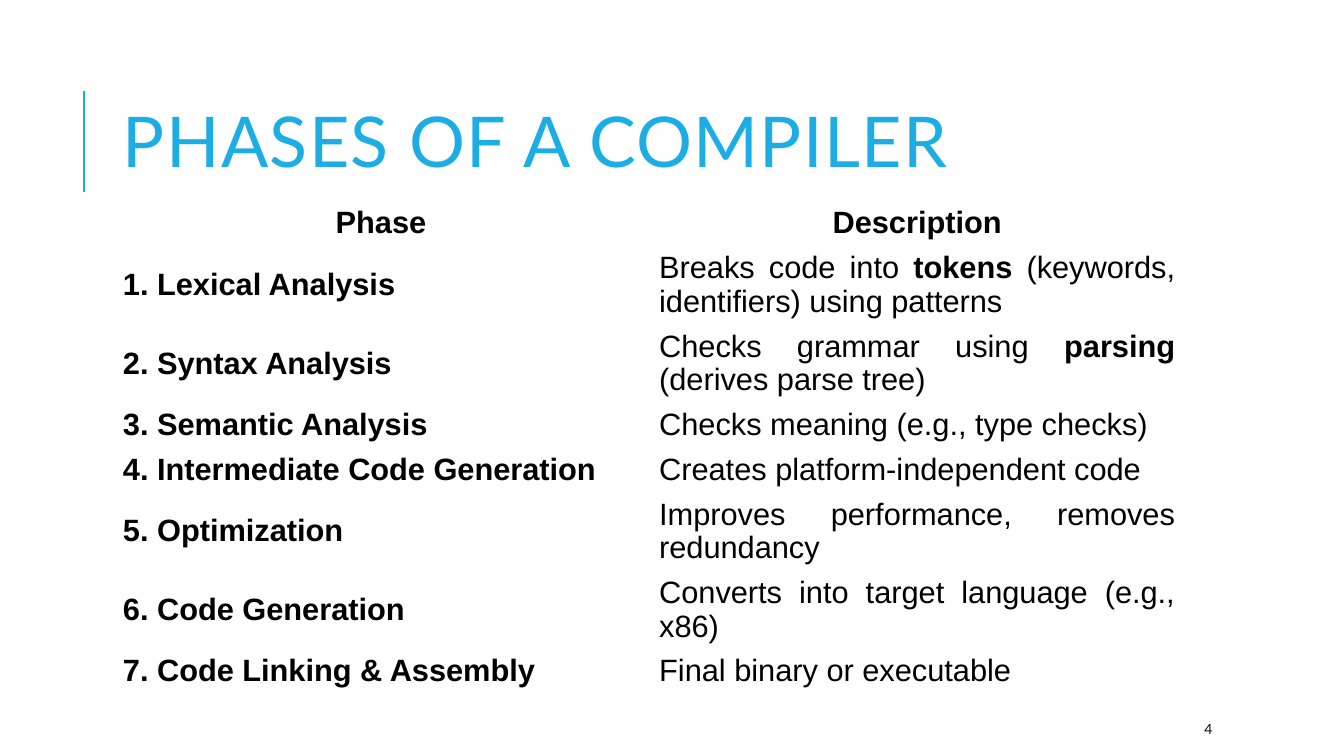
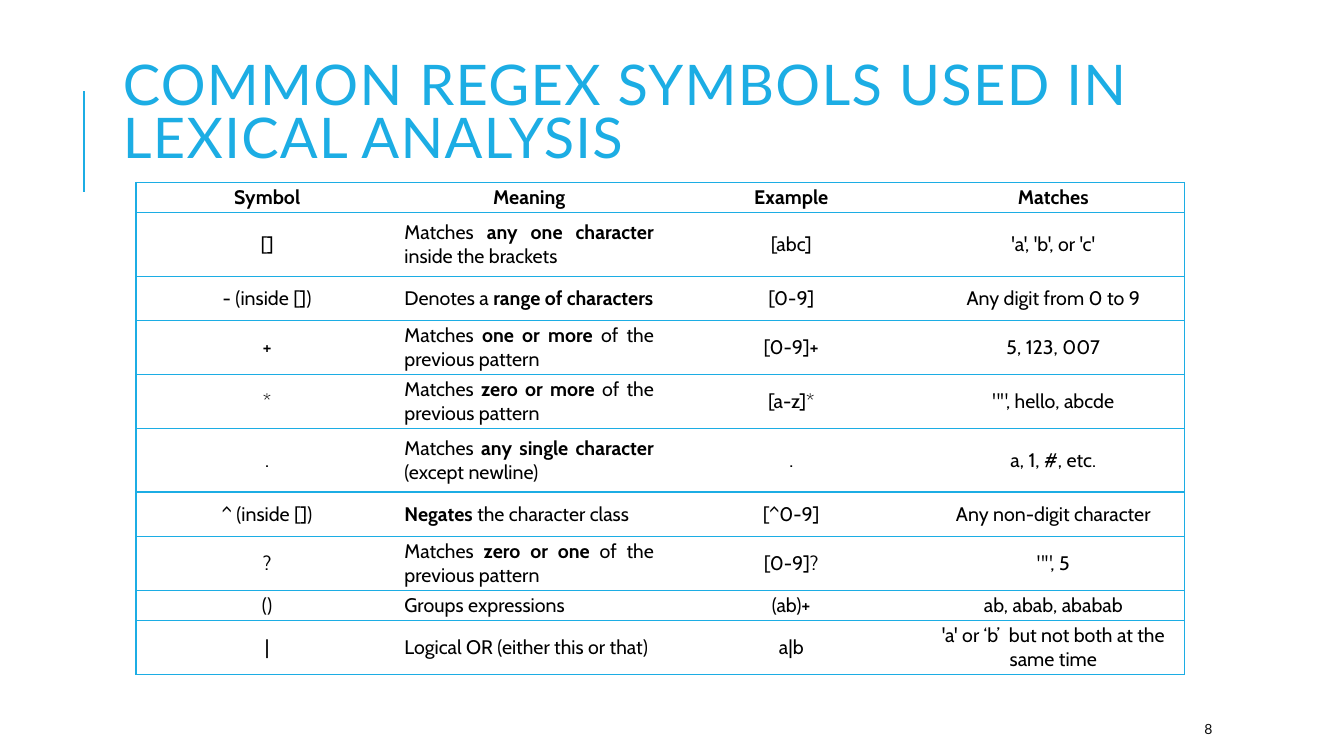
from dataclasses import dataclass

from lxml.etree import SubElement
from pptx import Presentation
from pptx.dml.color import RGBColor
from pptx.enum.shapes import MSO_CONNECTOR
from pptx.enum.text import MSO_ANCHOR, MSO_AUTO_SIZE, PP_ALIGN
from pptx.oxml.ns import qn
from pptx.util import Pt


@dataclass(frozen=True)
class Theme:
    accent: str = "1CADE4"
    text: str = "000000"
    number: str = "0D0D0D"
    paper: str = "FFFFFF"
    heading_font: str = "Lato"
    number_size: float = 10
    rule_width: float = 1.5
    border_width: float = 1


theme = Theme()


def add_run(paragraph, text, font, size, color, bold=False):
    run = paragraph.add_run()
    run.text = text
    run.font.name = font
    run.font.size = Pt(size)
    run.font.bold = bold
    run.font.color.rgb = RGBColor.from_string(color)
    return run


def set_borders(cell, visible_sides):
    properties = cell._tc.get_or_add_tcPr()
    for position, side in enumerate("LRTB"):
        line = SubElement(properties, qn(f"a:ln{side}"))
        if side in visible_sides:
            line.set("w", str(Pt(theme.border_width)))
            fill = SubElement(line, qn("a:solidFill"))
            SubElement(fill, qn("a:srgbClr")).set("val", theme.accent)
        else:
            SubElement(line, qn("a:noFill"))
        properties.insert(position, line)


pages = [
    {
        "title": "PHASES OF A COMPILER",
        "title_size": 50,
        "title_height": 118,
        "number": "4",
        "left": 80.64,
        "top": 144,
        "column_width": 383,
        "font": "Arial",
        "size": 22,
        "line_spacing": 0.97,
        "margins": (7.2, 3.6),
        "justified": (0, 1),
        "bordered": False,
        "row_heights": [31.8, 56.2, 56.2, 31.8, 31.8, 56.2, 56.2, 31.8],
        "rows": [
            ("**Phase**", "**Description**"),
            ("**1. Lexical Analysis**", "Breaks code into **tokens** (keywords, identifiers) using patterns"),
            ("**2. Syntax Analysis**", "Checks grammar using **parsing** (derives parse tree)"),
            ("**3. Semantic Analysis**", "Checks meaning (e.g., type checks)"),
            ("**4. Intermediate Code Generation**", "Creates platform-independent code"),
            ("**5. Optimization**", "Improves performance, removes redundancy"),
            ("**6. Code Generation**", "Converts into target language (e.g., x86)"),
            ("**7. Code Linking & Assembly**", "Final binary or executable"),
        ],
    },
    {
        "title": "COMMON REGEX SYMBOLS USED IN LEXICAL ANALYSIS",
        "title_size": 40,
        "title_height": 73.5,
        "number": "8",
        "left": 97.2,
        "top": 130.3,
        "column_width": 187.2,
        "font": "Cabin",
        "size": 14,
        "line_spacing": 1,
        "margins": (4.5, 2.25),
        "justified": (1,),
        "bordered": True,
        "row_heights": [21.5, 45.4, 31.7, 38.5, 38.5, 45.4, 31.7, 38.5, 21.5, 38.5],
        "rows": [
            ("**Symbol**", "**Meaning**", "**Example**", "**Matches**"),
            ("[]", "Matches **any one character** inside the brackets", "[abc]", "'a', 'b', or 'c'"),
            ("- (inside [])", "Denotes a **range of characters**", "[0-9]", "Any digit from 0 to 9"),
            ("+", "Matches **one or more** of the previous pattern", "[0-9]+", "5, 123, 007"),
            ("*", "Matches **zero or more** of the previous pattern", "[a-z]*", '"", hello, abcde'),
            (".", "Matches **any single character** (except newline)", ".", "a, 1, #, etc."),
            ("^ (inside [])", "**Negates** the character class", "[^0-9]", "Any non-digit character"),
            ("?", "Matches **zero or one** of the previous pattern", "[0-9]?", '"", 5'),
            ("()", "Groups expressions", "(ab)+", "ab, abab, ababab"),
            ("|", "Logical OR (either this or that)", "a|b", "'a' or ‘b’  but not both at the same time"),
        ],
    },
]

presentation = Presentation()
presentation.slide_width = Pt(960)
presentation.slide_height = Pt(540)

for page in pages:
    slide = presentation.slides.add_slide(presentation.slide_layouts[5])

    rule = slide.shapes.add_connector(MSO_CONNECTOR.STRAIGHT, Pt(60), Pt(137), Pt(60), Pt(65))
    rule.line.color.rgb = RGBColor.from_string(theme.accent)
    rule.line.width = Pt(theme.rule_width)
    SubElement(rule._element.spPr, qn("a:effectLst"))

    title = slide.shapes.title
    title.left, title.top = Pt(80.64), Pt(46)
    title.width, title.height = Pt(765.5), Pt(page["title_height"])
    title.text_frame.word_wrap = True
    title.text_frame.auto_size = MSO_AUTO_SIZE.NONE
    title.text_frame.vertical_anchor = MSO_ANCHOR.MIDDLE
    paragraph = title.text_frame.paragraphs[0]
    paragraph.alignment = PP_ALIGN.LEFT
    paragraph.line_spacing = 0.8
    run = add_run(paragraph, page["title"], theme.heading_font, page["title_size"], theme.accent)
    run._r.get_or_add_rPr().set("spc", "100")

    rows = page["rows"]
    column_count = len(rows[0])
    table = slide.shapes.add_table(
        len(rows), column_count, Pt(page["left"]), Pt(page["top"]),
        Pt(page["column_width"] * column_count), Pt(sum(page["row_heights"])),
    ).table
    table.first_row = False
    table.horz_banding = False
    for column in table.columns:
        column.width = Pt(page["column_width"])
    for row, height in zip(table.rows, page["row_heights"]):
        row.height = Pt(height)

    side_margin, edge_margin = page["margins"]
    for row_index, texts in enumerate(rows):
        for column_index, text in enumerate(texts):
            cell = table.cell(row_index, column_index)
            cell.fill.solid()
            cell.fill.fore_color.rgb = RGBColor.from_string(theme.paper)
            cell.vertical_anchor = MSO_ANCHOR.MIDDLE
            cell.margin_left = cell.margin_right = Pt(side_margin)
            cell.margin_top = cell.margin_bottom = Pt(edge_margin)
            sides = ""
            if page["bordered"]:
                sides = "TB"
                if column_index == 0:
                    sides += "L"
                if column_index == column_count - 1:
                    sides += "R"
            set_borders(cell, sides)
            paragraph = cell.text_frame.paragraphs[0]
            justified = row_index > 0 and column_index in page["justified"]
            paragraph.alignment = PP_ALIGN.JUSTIFY if justified else PP_ALIGN.CENTER
            paragraph.line_spacing = page["line_spacing"]
            for part_index, part in enumerate(text.split("**")):
                if part:
                    add_run(paragraph, part, page["font"], page["size"], theme.text, part_index % 2 == 1)

    number_box = slide.shapes.add_textbox(Pt(853.2), Pt(509.8), Pt(76.3), Pt(21.6))
    number_box.text_frame.word_wrap = True
    number_box.text_frame.vertical_anchor = MSO_ANCHOR.MIDDLE
    paragraph = number_box.text_frame.paragraphs[0]
    add_run(paragraph, page["number"], theme.heading_font, theme.number_size, theme.number)

presentation.save("out.pptx")
